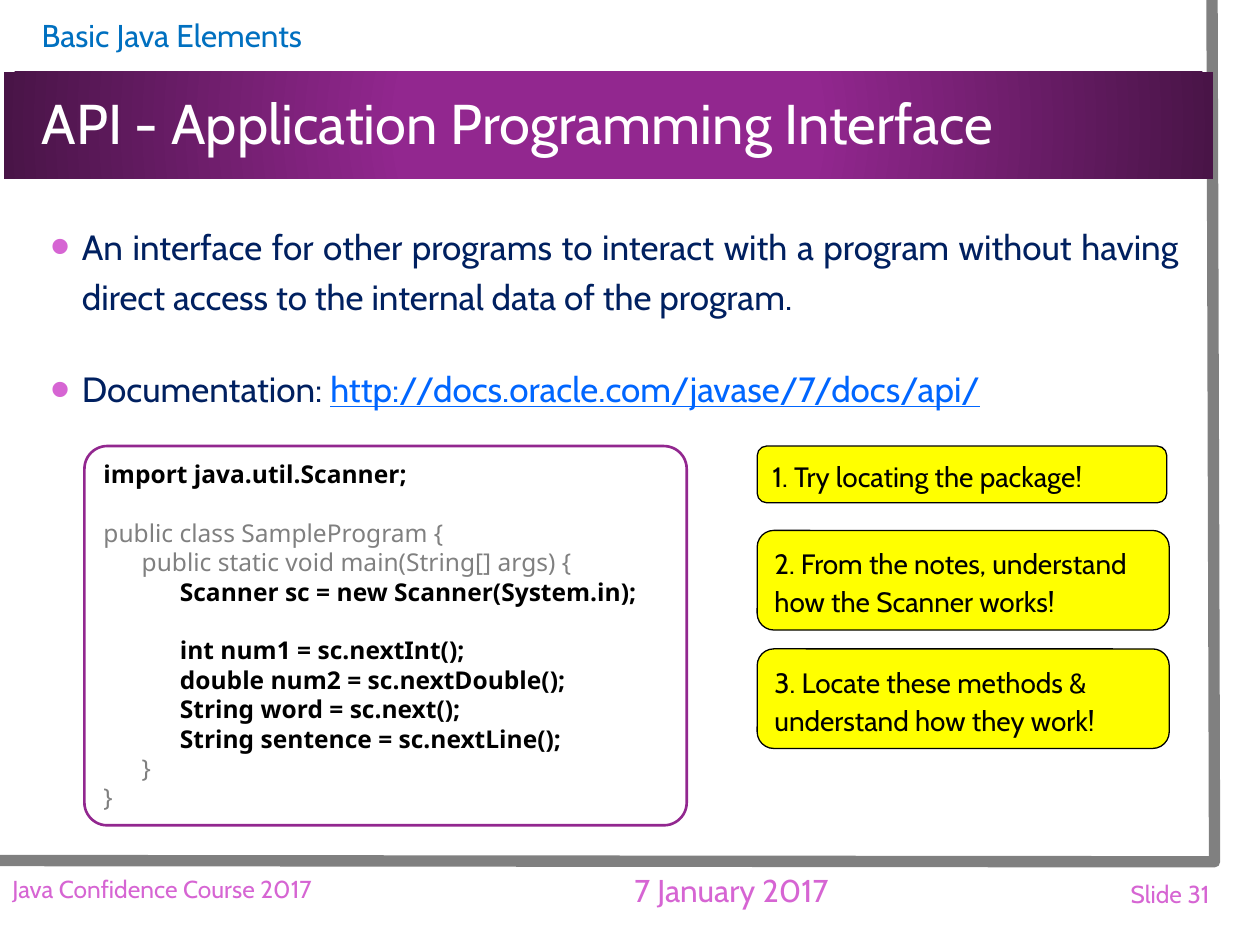
from lxml import etree
from pptx import Presentation
from pptx.dml.color import RGBColor
from pptx.enum.shapes import MSO_SHAPE
from pptx.enum.text import MSO_ANCHOR, MSO_AUTO_SIZE, PP_ALIGN
from pptx.oxml.ns import qn
from pptx.util import Pt

PX = 9144
RECT, ROUNDED = MSO_SHAPE.RECTANGLE, MSO_SHAPE.ROUNDED_RECTANGLE
LEFT, CENTER, RIGHT, JUSTIFY = PP_ALIGN.LEFT, PP_ALIGN.CENTER, PP_ALIGN.RIGHT, PP_ALIGN.JUSTIFY
TOP, MIDDLE = MSO_ANCHOR.TOP, MSO_ANCHOR.MIDDLE
NO_FIT = MSO_AUTO_SIZE.NONE
FONT, CODE_FONT = "Cabin", "Noto Sans"
C = {
    "white": "FFFFFF", "black": "000000", "gray": "808080", "purple": "92278F",
    "plum": "491447", "pink": "D665D3", "navy": "002060", "blue": "0070C0",
    "link": "0066FF", "yellow": "FFFF00",
}
CODE = [
    ("import java.util.Scanner;", True, 0),
    ("public class SampleProgram {", False, 1),
    ("      public static void main(String[] args) {", False, 0),
    ("            Scanner sc = new Scanner(System.in);", True, 0),
    ("            int num1 = sc.nextInt();", True, 1),
    ("            double num2 = sc.nextDouble();", True, 0),
    ("            String word = sc.next();", True, 0),
    ("            String sentence = sc.nextLine();", True, 0),
    ("      }", False, 0),
    ("}", False, 0),
]
CODE_LEADING = 16.8
BULLETS = [
    [("An interface for other programs to interact with a program without having "
      "direct access to the internal data of the program.", False)],
    [("Documentation: ", False), ("http://docs.oracle.com/javase/7/docs/api/", True)],
]
TASKS = [
    ("1. Try locating the package!", 354, 325, 45),
    ("2. From the notes, understand how the Scanner works!", 421, 327, 79),
    ("3. Locate these methods & understand how they work!", 515, 327, 79),
]


def rgb(name):
    return RGBColor.from_string(C[name])


def emu(*lengths):
    return [n * PX for n in lengths]


def place(sp, box):
    sp.left, sp.top, sp.width, sp.height = emu(*box)


def set_frame(sp, anchor, left=10):
    tf = sp.text_frame
    tf.word_wrap = True
    tf.auto_size = NO_FIT
    tf.vertical_anchor = anchor
    tf.margin_left, tf.margin_top, tf.margin_right, tf.margin_bottom = emu(left, 5, 10, 5)
    return tf


def add_run(p, text, size, color, font=FONT, bold=False):
    r = p.add_run()
    r.text = text
    r.font.name, r.font.size, r.font.bold = font, Pt(size), bold
    r.font.color.rgb = rgb(color)
    return r


def add_panel(s, kind, box, fill, line=None, width=1):
    sp = s.shapes.add_shape(kind, *emu(*box))
    sp.shadow.inherit = False
    sp.fill.solid()
    sp.fill.fore_color.rgb = rgb(fill)
    if line:
        sp.line.color.rgb = rgb(line)
        sp.line.width = Pt(width)
    else:
        sp.line.fill.background()
    return sp


def add_label(s, box, text, size, color, align=LEFT, left=10):
    tf = set_frame(s.shapes.add_textbox(*emu(*box)), MIDDLE, left)
    p = tf.paragraphs[0]
    p.alignment = align
    add_run(p, text, size, color)


def add_border(s, box):
    x, y, w, h = box
    builder = s.shapes.build_freeform(x + w - 2, y, scale=PX)
    builder.add_line_segments([(x + w, y + h), (x, y + h - 1)], close=False)
    sp = builder.convert_to_shape()
    sp.shadow.inherit = False
    sp.fill.background()
    sp.line.color.rgb = rgb("gray")
    sp.line.width = Pt(6.5)


def set_radial(sp, stops):
    sp.fill.gradient()
    grad = sp.fill._xPr.find(qn("a:gradFill"))
    for child in list(grad):
        grad.remove(child)
    gs_list = etree.SubElement(grad, qn("a:gsLst"))
    for pos, color in stops:
        gs = etree.SubElement(gs_list, qn("a:gs"), pos=str(pos * 1000))
        etree.SubElement(gs, qn("a:srgbClr"), val=C[color])
    radial = etree.SubElement(grad, qn("a:path"), path="circle")
    etree.SubElement(radial, qn("a:fillToRect"), l="50000", t="50000", r="50000", b="50000")


def add_header(s, box):
    x, y, w, h = box
    bar = add_panel(s, RECT, (x, y + 49, w, h - 49), "purple")
    set_radial(bar, [(34, "purple"), (100, "plum")])
    add_label(s, (x, y, w, 40), "Basic Java Elements", 18, "blue", left=30)
    title = s.shapes.title
    place(title, (x, y + 50, w, h - 50))
    s.shapes._spTree.append(title._element)
    p = set_frame(title, MIDDLE, 30).paragraphs[0]
    p.alignment = LEFT
    p.line_spacing = 0.9
    add_run(p, "API - Application Programming Interface", 32, "white")


def add_bullet(p):
    pPr = p._p.get_or_add_pPr()
    indent = 25 * PX
    pPr.set("marL", str(indent))
    pPr.set("indent", str(-indent))
    color = etree.SubElement(pPr, qn("a:buClr"))
    etree.SubElement(color, qn("a:srgbClr"), val=C["pink"])
    etree.SubElement(pPr, qn("a:buSzPct"), val="160000")
    etree.SubElement(pPr, qn("a:buFont"), typeface="Arial")
    etree.SubElement(pPr, qn("a:buChar"), char="•")


def add_body(s, box):
    body = s.placeholders[1]
    place(body, box)
    tf = set_frame(body, TOP)
    for i, parts in enumerate(BULLETS):
        p = tf.add_paragraph() if i else tf.paragraphs[0]
        add_bullet(p)
        p.alignment = JUSTIFY
        p.line_spacing = 1.2
        p.space_before = Pt(12 if i else 0)
        p.space_after = Pt(12)
        for text, is_link in parts:
            r = add_run(p, text, 20, "link" if is_link else "navy")
            r.font.underline = is_link


def add_code(s, box):
    sp = add_panel(s, ROUNDED, box, "white", "purple", 1.5)
    sp.adjustments[0] = 0.06
    tf = set_frame(sp, TOP)
    for i, (text, strong, gap) in enumerate(CODE):
        p = tf.add_paragraph() if i else tf.paragraphs[0]
        p.alignment = LEFT
        p.line_spacing = Pt(CODE_LEADING)
        p.space_before = Pt(gap * CODE_LEADING)
        add_run(p, text, 14, "black" if strong else "gray", CODE_FONT, strong)


def add_tasks(s, x):
    for text, y, w, h in TASKS:
        sp = add_panel(s, ROUNDED, (x, y, w, h), "yellow", "black", 0.75)
        p = set_frame(sp, MIDDLE).paragraphs[0]
        p.alignment = LEFT
        p.line_spacing = 1.14
        add_run(p, text, 16, "black")


def add_footer(s, x, y):
    add_label(s, (x + 423, y, 315, 43), "7 January 2017", 18, "pink", CENTER)
    add_label(s, (x, y, 423, 41), "Java Confidence Course 2017", 14, "pink")
    add_label(s, (x + 739, y + 1, 231, 47), "Slide 31", 14, "pink", RIGHT)


def main():
    prs = Presentation()
    prs.slide_width, prs.slide_height = emu(1000, 750)
    s = prs.slides.add_slide(prs.slide_layouts[1])
    add_border(s, (-2, 0, 966, 684))
    add_header(s, (3, 8, 960, 134))
    add_body(s, (30, 167, 916, 502))
    add_code(s, (67, 354, 478, 301))
    add_tasks(s, 601)
    add_footer(s, 0, 685)
    prs.save("out.pptx")


if __name__ == "__main__":
    main()
